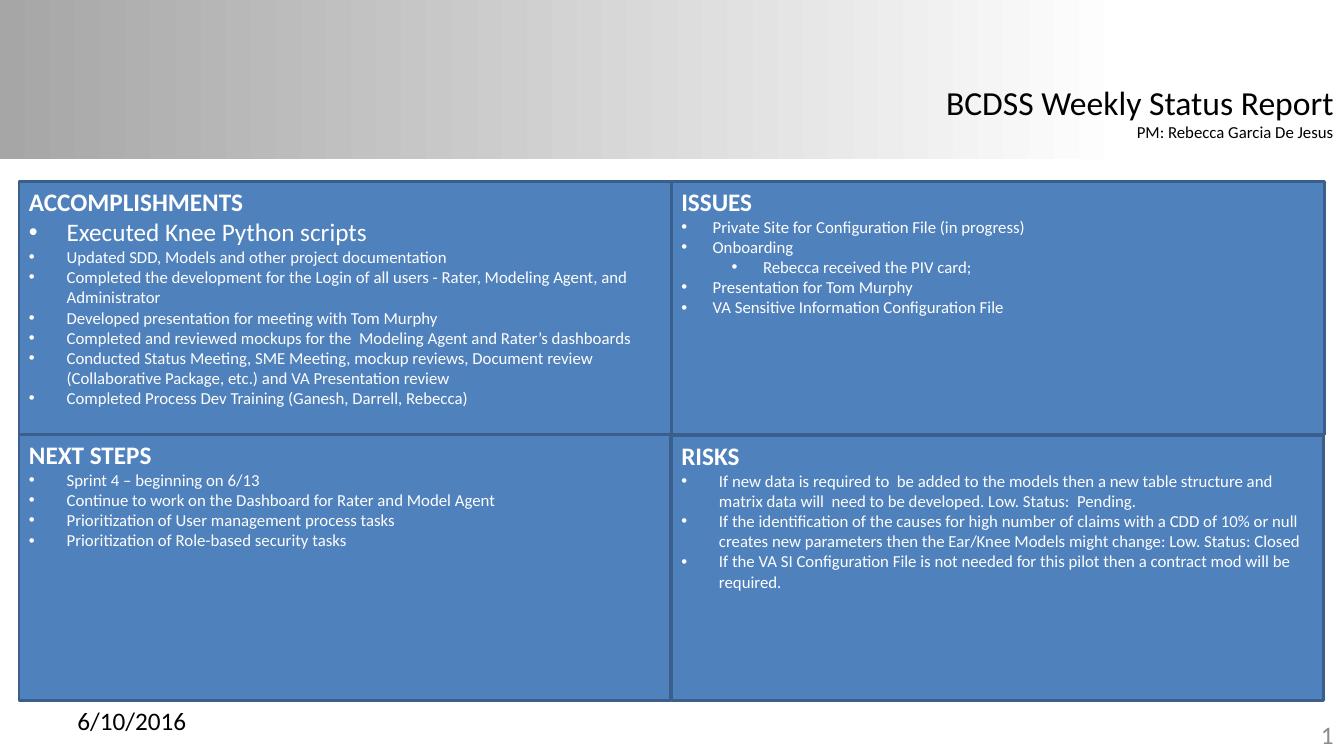
"""Build the weekly status report slide."""
from lxml import etree
from pptx import Presentation
from pptx import util as u
from pptx.dml import color
from pptx.enum import shapes, text
from pptx.oxml import ns

FONT = "Calibri"
LEFT, TOP = text.PP_ALIGN.LEFT, text.MSO_ANCHOR.TOP
RIGHT, MIDDLE = text.PP_ALIGN.RIGHT, text.MSO_ANCHOR.MIDDLE

PANELS = [
    ("ACCOMPLISHMENTS", (0.48, 4.57, 16.43, 8.71), 0.95, [
        ("Executed Knee Python scripts", 18, 0),
        ("Updated SDD, Models and other project documentation", 12, 0),
        ("Completed the development for the Login of all users - Rater, "
         "Modeling Agent, and Administrator", 12, 0),
        ("Developed presentation for meeting with Tom Murphy", 12, 0),
        ("Completed and reviewed mockups for the  Modeling Agent and "
         "Rater’s dashboards", 12, 0),
        ("Conducted Status Meeting, SME Meeting, mockup reviews, Document "
         "review (Collaborative Package, etc.) and VA Presentation review", 12, 0),
        ("Completed Process Dev Training (Ganesh, Darrell, Rebecca)", 12, 0),
    ]),
    ("NEXT STEPS", (0.48, 10.95, 16.41, 6.71), 0.95, [
        ("Sprint 4 – beginning on 6/13", 12, 0),
        ("Continue to work on the Dashboard for Rater and Model Agent", 12, 0),
        ("Prioritization of User management process tasks", 12, 0),
        ("Prioritization of Role-based security tasks", 12, 0),
    ]),
    ("ISSUES", (16.92, 4.57, 16.46, 6.38), 0.79, [
        ("Private Site for Configuration File (in progress)", 12, 0),
        ("Onboarding", 12, 0),
        ("Rebecca received the PIV card;", 12, 1),
        ("Presentation for Tom Murphy", 12, 0),
        ("VA Sensitive Information Configuration File", 12, 0),
    ]),
    ("RISKS", (16.92, 10.97, 16.43, 6.68), 0.95, [
        ("If new data is required to  be added to the models then a new table "
         "structure and matrix data will  need to be developed. Low. Status:  "
         "Pending.", 12, 0),
        ("If the identification of the causes for high number of claims with a "
         "CDD of 10% or null creates new parameters then the Ear/Knee Models "
         "might change: Low. Status: Closed", 12, 0),
        ("If the VA SI Configuration File is not needed for this pilot then a "
         "contract mod will be required.", 12, 0),
    ]),
]


def rgb(value):
    """Turn a hex string into a colour."""
    return color.RGBColor.from_string(value)


def write(p, words, size, hue, bold=False, align=LEFT):
    """Put words into a paragraph and format its runs."""
    p.text = words
    p.alignment = align
    for r in p.runs:
        r.font.name = FONT
        r.font.size = u.Pt(size)
        r.font.bold = bold
        r.font.color.rgb = rgb(hue)


def add_bullet(p, hanging, level):
    """Give a paragraph a bullet with a hanging indent."""
    p.level = level
    pPr = p._p.get_or_add_pPr()
    pPr.set("marL", str(u.Cm(hanging + 1.27 * level)))
    pPr.set("indent", str(-u.Cm(hanging)))
    etree.SubElement(pPr, ns.qn("a:buFont")).set("typeface", "Arial")
    etree.SubElement(pPr, ns.qn("a:buChar")).set("char", "•")


def add_rect(s, box):
    """Add a rectangle without a shadow."""
    sp = s.shapes.add_shape(shapes.MSO_SHAPE.RECTANGLE, *map(u.Cm, box))
    sp.shadow.inherit = False
    return sp


def add_banner(s):
    """Add the grey band that fades to white across the top."""
    sp = add_rect(s, (0, 0, 33.87, 4.02))
    sp.line.fill.background()
    sp.fill.gradient()
    sp.fill.gradient_angle = 0
    for stop, hue, place in zip(sp.fill.gradient_stops, ("A6A6A6", "FFFFFF"), (0, 0.84)):
        stop.color.rgb = rgb(hue)
        stop.position = place


def add_label(s, box, lines, hue="000000", align=LEFT, anchor=MIDDLE, wrap=True):
    """Add a text box with one paragraph for each (words, size) line."""
    tf = s.shapes.add_textbox(*map(u.Cm, box)).text_frame
    tf.word_wrap = wrap
    tf.vertical_anchor = anchor
    for i, (words, size) in enumerate(lines):
        p = tf.add_paragraph() if i else tf.paragraphs[0]
        write(p, words, size, hue, align=align)


def add_panel(s, heading, box, hanging, items):
    """Add a blue panel with a heading and bulleted items."""
    sp = add_rect(s, box)
    sp.fill.solid()
    sp.fill.fore_color.rgb = rgb("4F81BD")
    sp.line.color.rgb = rgb("3A5F8C")
    sp.line.width = u.Pt(2)
    tf = sp.text_frame
    tf.word_wrap = True
    tf.vertical_anchor = TOP
    write(tf.paragraphs[0], heading, 18, "FFFFFF", bold=True)
    for words, size, level in items:
        p = tf.add_paragraph()
        add_bullet(p, hanging, level)
        write(p, words, size, "FFFFFF")


def main():
    """Build the slide and save it."""
    prs = Presentation()
    prs.slide_width, prs.slide_height = u.Cm(33.87), u.Cm(19.05)
    s = prs.slides.add_slide(prs.slide_layouts[6])
    add_banner(s)
    add_label(s, (25.96, 18.01, 7.9, 1.01), [("1", 18)], "8C8C8C", RIGHT)
    add_label(s, (1.7, 17.65, 7.9, 1.01), [("6/10/2016", 18)])
    add_label(s, (23.5, 1.93, 10.36, 1.8),
              [("BCDSS Weekly Status Report", 24), ("PM: Rebecca Garcia De Jesus", 12)],
              align=RIGHT, anchor=TOP, wrap=False)
    for panel in PANELS:
        add_panel(s, *panel)
    prs.save("out.pptx")


if __name__ == "__main__":
    main()
